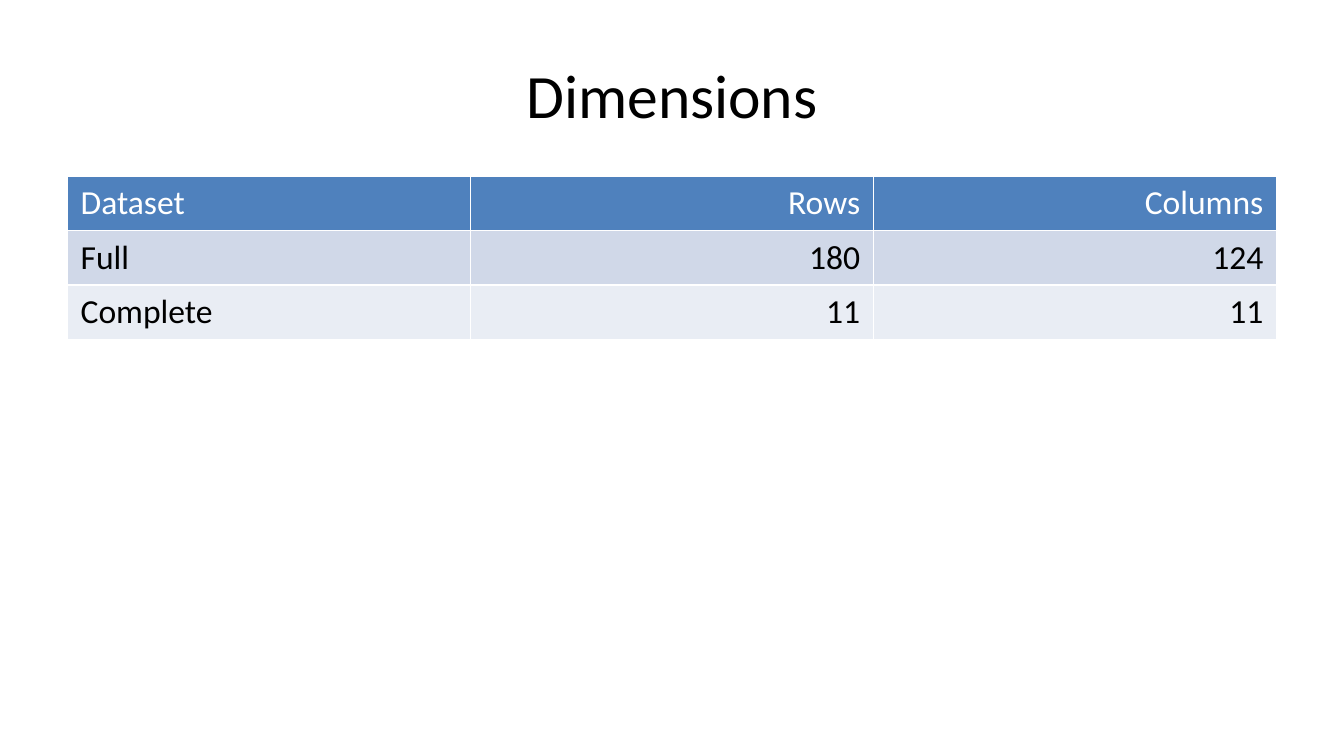
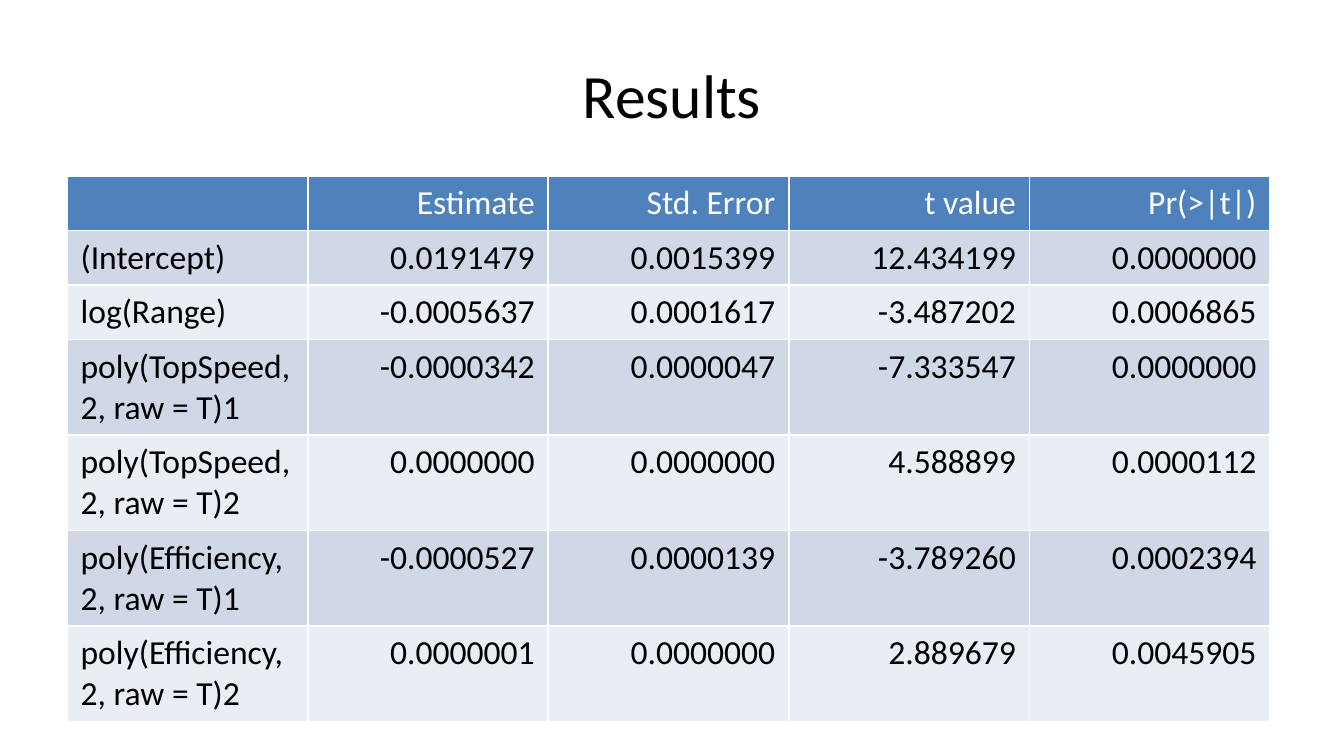
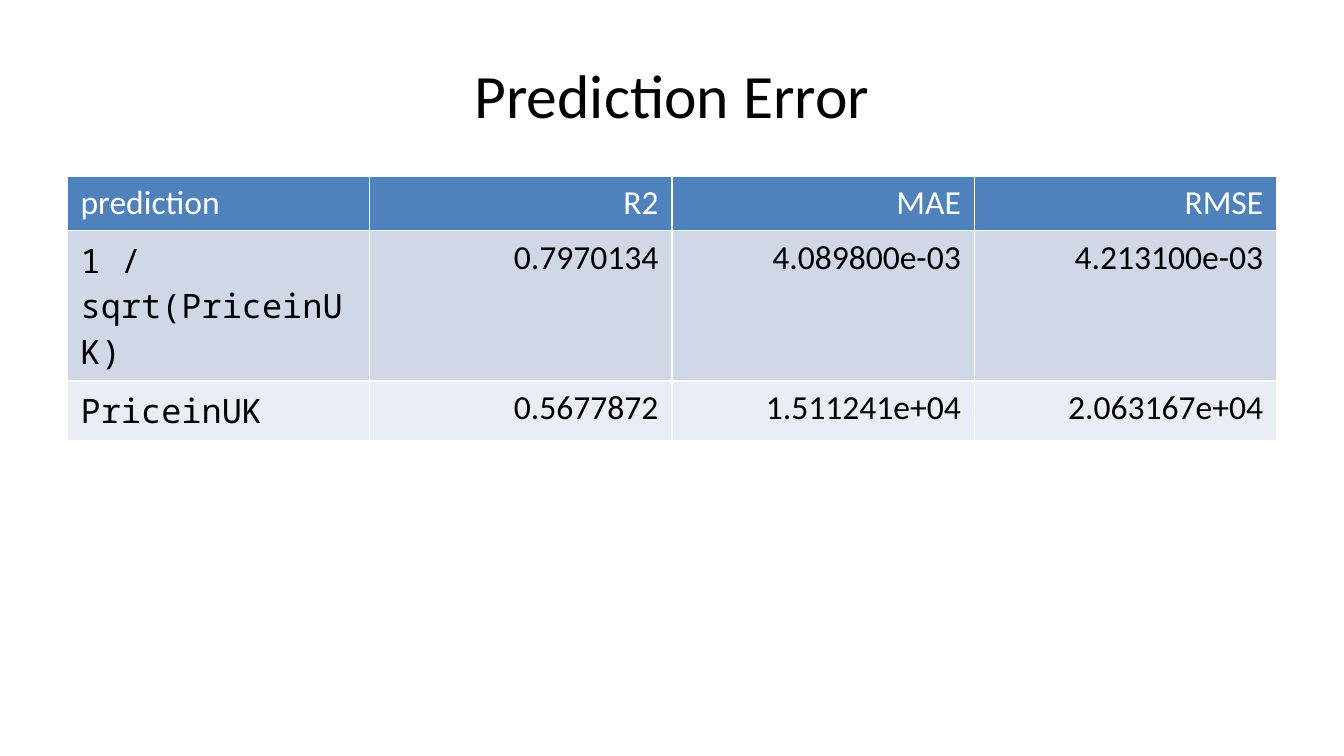
import pptx
import pptx.util
import pptx.dml.color
import pptx.enum.text

Inches = pptx.util.Inches
Align = pptx.enum.text.PP_ALIGN

# Shared style
BLACK, WHITE = "000000", "FFFFFF"
HEADER_FILL = "4F81BD"
BAND_FILLS = ("D0D8E8", "E9EDF4")
BODY_FONT, CODE_FONT = "Calibri", "Noto Sans Mono"
TITLE_ONLY = 5


def color(hex_code):
    return pptx.dml.color.RGBColor.from_string(hex_code)


def write(frame, text, size=18, font=BODY_FONT, ink=BLACK, align=Align.LEFT):
    paragraph = frame.paragraphs[0]
    paragraph.alignment = align
    if text:
        run = paragraph.add_run()
        run.text = text
        run.font.size = pptx.util.Pt(size)
        run.font.name = font
        run.font.bold = False
        run.font.color.rgb = color(ink)


# Content: title, column width, font of the row labels, rows with header first
sections = [
    ("Dimensions", 3, BODY_FONT, [
        ("Dataset", "Rows", "Columns"),
        ("Full", "180", "124"),
        ("Complete", "11", "11"),
    ]),
    ("Results", 1.79, BODY_FONT, [
        ("", "Estimate", "Std. Error", "t value", "Pr(>|t|)"),
        ("(Intercept)", "0.0191479", "0.0015399", "12.434199", "0.0000000"),
        ("log(Range)", "-0.0005637", "0.0001617", "-3.487202", "0.0006865"),
        ("poly(TopSpeed, 2, raw = T)1", "-0.0000342", "0.0000047", "-7.333547", "0.0000000"),
        ("poly(TopSpeed, 2, raw = T)2", "0.0000000", "0.0000000", "4.588899", "0.0000112"),
        ("poly(Efficiency, 2, raw = T)1", "-0.0000527", "0.0000139", "-3.789260", "0.0002394"),
        ("poly(Efficiency, 2, raw = T)2", "0.0000001", "0.0000000", "2.889679", "0.0045905"),
    ]),
    ("Prediction Error", 2.25, CODE_FONT, [
        ("prediction", "R2", "MAE", "RMSE"),
        ("1 / sqrt(PriceinUK)", "0.7970134", "4.089800e-03", "4.213100e-03"),
        ("PriceinUK", "0.5677872", "1.511241e+04", "2.063167e+04"),
    ]),
]

# Widescreen, 16:9
deck = pptx.Presentation()
deck.slide_width, deck.slide_height = Inches(10), Inches(10 * 9 / 16)

for heading, column_width, label_font, rows in sections:
    slide = deck.slides.add_slide(deck.slide_layouts[TITLE_ONLY])

    # Title
    title = slide.shapes.title
    title.left, title.top = Inches(0.5), Inches(0.23)
    title.width, title.height = Inches(9), Inches(0.94)
    title.text_frame.vertical_anchor = pptx.enum.text.MSO_ANCHOR.MIDDLE
    write(title.text_frame, heading, size=33, align=Align.CENTER)

    # Table: rows start at zero height and grow to fit their text
    table_frame = slide.shapes.add_table(
        len(rows), len(rows[0]), Inches(0.5), Inches(1.31), Inches(9), 0)
    table_frame.height = Inches(3.71)
    table = table_frame.table
    for column in table.columns:
        column.width = Inches(column_width)

    for row_index, row in enumerate(rows):
        is_header = row_index == 0
        for column_index, value in enumerate(row):
            is_label = column_index == 0
            cell = table.cell(row_index, column_index)
            cell.fill.solid()
            cell.fill.fore_color.rgb = color(
                HEADER_FILL if is_header else BAND_FILLS[(row_index - 1) % 2])
            write(cell.text_frame, value,
                  font=label_font if is_label and not is_header else BODY_FONT,
                  ink=WHITE if is_header else BLACK,
                  align=Align.LEFT if is_label else Align.RIGHT)

deck.save("out.pptx")
